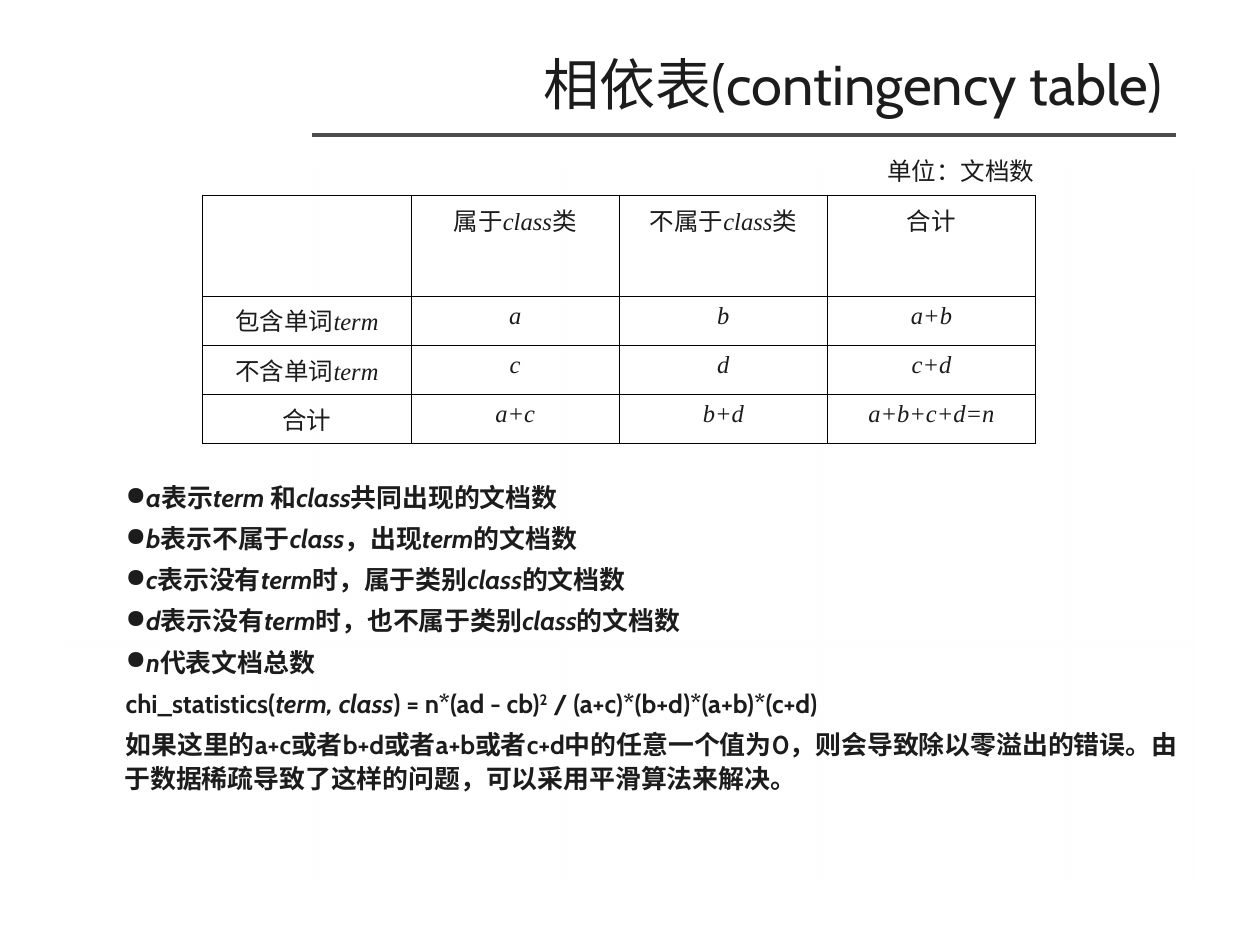
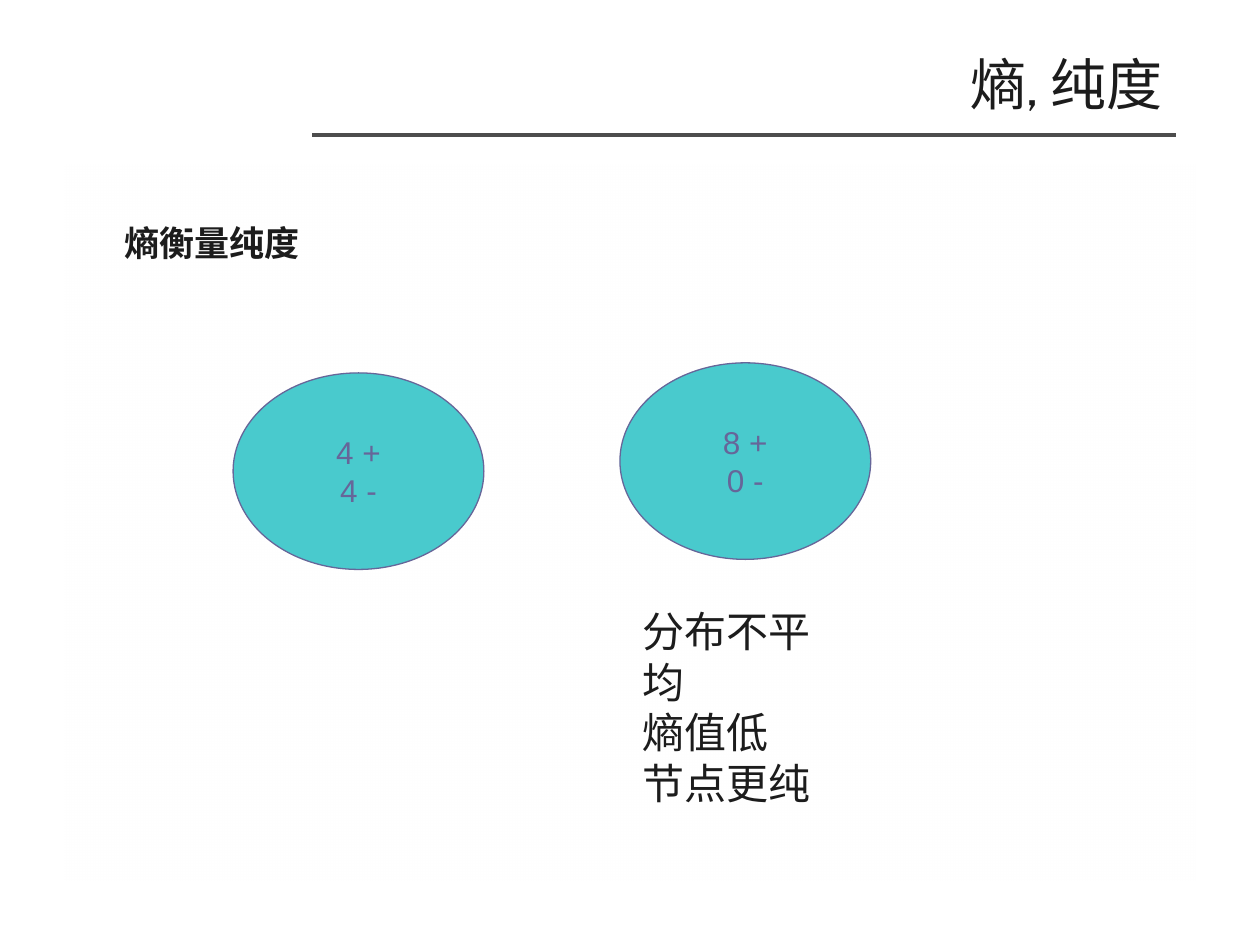
"""Build two slides on contingency tables and entropy."""
from dataclasses import dataclass
from typing import NamedTuple

from lxml import etree
from pptx import Presentation
from pptx import util as u
from pptx.dml.color import RGBColor
from pptx.enum import shapes, text
from pptx.oxml import ns

COLOURS = {"ink": "1C1C1C", "rule": "4D4D4D", "border": "000000",
           "panel": "FFFFFF", "node": "49CACD", "node_ink": "666699"}
COLUMNS, ROWS = 40, 30
WIDTH, HEIGHT = u.Inches(10), u.Inches(7.5)


class Box(NamedTuple):
    """A rectangle in grid columns and rows."""
    col: float
    row: float
    cols: float
    rows: float

    def place(self) -> tuple[int, int, int, int]:
        """Give left, top, width and height as lengths."""
        return across(self.col), down(self.row), across(self.cols), down(self.rows)


class Run(NamedTuple):
    """A stretch of text in one style."""
    words: str
    italic: bool = False
    raised: bool = False


@dataclass(frozen=True)
class Style:
    """The look of a block of text."""
    size: float
    font: str
    colour: str = "ink"
    bold: bool = False
    align: text.PP_ALIGN = text.PP_ALIGN.LEFT
    spacing: float = 1.0
    before: float = 0
    hanging: bool = False
    east_asian: bool = True


@dataclass(frozen=True)
class Node:
    """A decision node and its class counts."""
    box: Box
    counts: tuple[str, str]


CENTER = text.PP_ALIGN.CENTER
TITLE = Style(32, "Cabin", align=text.PP_ALIGN.RIGHT)
NOTES = Style(14.8, "Cabin", bold=True, spacing=1.1, before=4, hanging=True)
CLAIM = Style(20, "Cabin", bold=True, spacing=1.5, hanging=True)
CELL = Style(14, "Times New Roman", align=CENTER, east_asian=False)
UNIT = Style(14, "Arial", align=CENTER)
COUNTS = Style(18, "Arial", "node_ink", align=CENTER)
VERDICT = Style(24, "Calibri")

TITLE_BOX = Box(2.76, 1.4, 34.56, 2.48)
PANEL_BOX = Box(2.04, 5.24, 35.92, 23)
RULE_START, RULE_END, RULE_ROW = 9.92, 37.32, 4.28
TABLE_BOX = Box(6.44, 6.2, 26.44, 7.88)
HEADER_ROWS = 3.2

CONTINGENCY = [
    ["", "属于|class|类", "不属于|class|类", "合计"],
    ["包含单词|term", "|a", "|b", "|a+b"],
    ["不含单词|term", "|c", "|d", "|c+d"],
    ["合计", "|a+c", "|b+d", "|a+b+c+d=n"],
]
DEFINITIONS = [
    "|a|表示|term |和|class|共同出现的文档数",
    "|b|表示不属于|class|，出现|term|的文档数",
    "|c|表示没有|term|时，属于类别|class|的文档数",
    "|d|表示没有|term|时，也不属于类别|class|的文档数",
    "|n|代表文档总数",
]
FORMULA = [Run("chi_statistics("), Run("term, class", italic=True),
           Run(") = n*(ad - cb)"), Run("2", raised=True),
           Run(" / (a+c)*(b+d)*(a+b)*(c+d)")]
SMOOTHING = ("如果这里的a+c或者b+d或者a+b或者c+d中的任意一个值为0，则会导致除以零溢出的错误。"
             "由于数据稀疏导致了这样的问题，可以采用平滑算法来解决。")
NODES = [Node(Box(7.4, 11.84, 7.96, 6.24), ("4 +", "4 -")),
         Node(Box(19.68, 11.52, 7.96, 6.24), ("8 +", "0 -"))]


def across(cols: float) -> int:
    """Turn grid columns into a length."""
    return round(WIDTH * cols / COLUMNS)


def down(rows: float) -> int:
    """Turn grid rows into a length."""
    return round(HEIGHT * rows / ROWS)


def colour(name: str) -> RGBColor:
    """Look up a colour by its role."""
    return RGBColor.from_string(COLOURS[name])


def child(parent, tag: str, **attributes: str):
    """Append a drawing element."""
    return etree.SubElement(parent, ns.qn(tag), attributes)


def runs(marked: str) -> list[Run]:
    """Split text at bars, where every second part is italic."""
    return [Run(words, index % 2 == 1)
            for index, words in enumerate(marked.split("|")) if words]


def write(frame, paragraphs: list[list[Run]], style: Style, bullets: int = 0) -> None:
    """Fill a text frame run by run, with bullets on the first paragraphs."""
    for index, parts in enumerate(paragraphs):
        paragraph = frame.paragraphs[0] if index == 0 else frame.add_paragraph()
        properties = paragraph._p.get_or_add_pPr()
        if style.hanging:
            properties.set("marL", str(u.Inches(0.38)))
            properties.set("indent", str(u.Inches(0.01)))
        if index < bullets:
            tint = child(properties, "a:buClr")
            child(tint, "a:srgbClr", val=COLOURS[style.colour])
            child(properties, "a:buChar", char="●")
        paragraph.alignment = style.align
        paragraph.line_spacing = style.spacing
        if index:
            paragraph.space_before = u.Pt(style.before)
        for part in parts:
            run = paragraph.add_run()
            run.text = part.words
            font = run.font
            font.size, font.name = u.Pt(style.size), style.font
            font.bold, font.italic = style.bold, part.italic
            font.color.rgb = colour(style.colour)
            if style.east_asian:
                child(font._element, "a:ea", typeface=style.font)
            if part.raised:
                font._element.set("baseline", "30000")


def add_text(slide, box: Box, paragraphs: list[list[Run]], style: Style,
             bullets: int = 0, wrap: bool = True) -> None:
    """Add a text box."""
    frame = slide.shapes.add_textbox(*box.place()).text_frame
    frame.word_wrap = wrap
    if not wrap:
        frame.auto_size = text.MSO_AUTO_SIZE.SHAPE_TO_FIT_TEXT
    write(frame, paragraphs, style, bullets)


def add_panel(slide) -> None:
    """Add the fading panel behind the content."""
    panel = slide.shapes.add_shape(shapes.MSO_SHAPE.RECTANGLE, *PANEL_BOX.place())
    panel.shadow.inherit = False
    panel.line.fill.background()
    panel.fill.gradient()
    panel.fill.gradient_angle = 270
    for stop, opacity in zip(panel.fill.gradient_stops, (40, 0)):
        stop.color.rgb = colour("panel")
    for tint, opacity in zip(panel._element.spPr.iter(ns.qn("a:srgbClr")), (40, 0)):
        child(tint, "a:alpha", val=str(opacity * 1000))


def add_titled_slide(deck, heading: str):
    """Add a slide with the shared panel, rule and title."""
    slide = deck.slides.add_slide(deck.slide_layouts[5])
    add_panel(slide)
    rule = slide.shapes.add_connector(
        shapes.MSO_CONNECTOR.STRAIGHT, across(RULE_START), down(RULE_ROW),
        across(RULE_END), down(RULE_ROW))
    rule.line.color.rgb = colour("rule")
    rule.line.width = u.Pt(0)
    child(rule._element.spPr, "a:effectLst")
    title = slide.shapes.title
    title.left, title.top, title.width, title.height = TITLE_BOX.place()
    title.text_frame.vertical_anchor = text.MSO_ANCHOR.MIDDLE
    title.text_frame.auto_size = text.MSO_AUTO_SIZE.NONE
    write(title.text_frame, [[Run(heading)]], TITLE)
    return slide


def add_borders(cell) -> None:
    """Draw a thin line on each side of a cell."""
    properties = cell._tc.get_or_add_tcPr()
    for side in ("a:lnL", "a:lnR", "a:lnT", "a:lnB"):
        edge = child(properties, side, w=str(u.Pt(0.45)))
        child(child(edge, "a:solidFill"), "a:srgbClr", val=COLOURS["border"])


def add_contingency(slide) -> None:
    """Add the contingency table."""
    count = len(CONTINGENCY)
    table = slide.shapes.add_table(count, len(CONTINGENCY[0]), *TABLE_BOX.place()).table
    table.first_row = table.horz_banding = False
    for index, entries in enumerate(CONTINGENCY):
        body_rows = (TABLE_BOX.rows - HEADER_ROWS) / (count - 1)
        table.rows[index].height = down(body_rows if index else HEADER_ROWS)
        for position, entry in enumerate(entries):
            cell = table.cell(index, position)
            add_borders(cell)
            cell.fill.background()
            write(cell.text_frame, [runs(entry)], CELL)


def add_node(slide, node: Node) -> None:
    """Add an ellipse with its class counts."""
    ellipse = slide.shapes.add_shape(shapes.MSO_SHAPE.OVAL, *node.box.place())
    ellipse.shadow.inherit = False
    ellipse.fill.solid()
    ellipse.fill.fore_color.rgb = colour("node")
    ellipse.line.color.rgb = colour("node_ink")
    ellipse.line.width = u.Pt(0.75)
    ellipse.text_frame.word_wrap = False
    ellipse.text_frame.vertical_anchor = text.MSO_ANCHOR.MIDDLE
    write(ellipse.text_frame, [[Run(line)] for line in node.counts], COUNTS)


def build_contingency(deck) -> None:
    """Build the slide on the contingency table."""
    slide = add_titled_slide(deck, "相依表(contingency table)")
    notes = [runs(line) for line in DEFINITIONS] + [FORMULA, [Run(SMOOTHING)]]
    add_text(slide, Box(2.04, 15, 36, 10), notes, NOTES, bullets=len(DEFINITIONS))
    add_contingency(slide)
    add_text(slide, Box(27.76, 4.76, 5.48, 1.36), [[Run("单位：文档数")]], UNIT, wrap=False)


def build_entropy(deck) -> None:
    """Build the slide on entropy and purity."""
    slide = add_titled_slide(deck, "熵, 纯度")
    add_text(slide, Box(2, 6.16, 36, 22.28), [[Run("熵衡量纯度")]], CLAIM)
    for node in NODES:
        add_node(slide, node)
    verdict = [[Run(line)] for line in ("分布不平均", "熵值低", "节点更纯")]
    add_text(slide, Box(20, 19.04, 7.44, 5.2), verdict, VERDICT, wrap=False)


def main() -> None:
    """Build and save the presentation."""
    deck = Presentation()
    deck.slide_width, deck.slide_height = WIDTH, HEIGHT
    build_contingency(deck)
    build_entropy(deck)
    deck.save("out.pptx")


if __name__ == "__main__":
    main()
